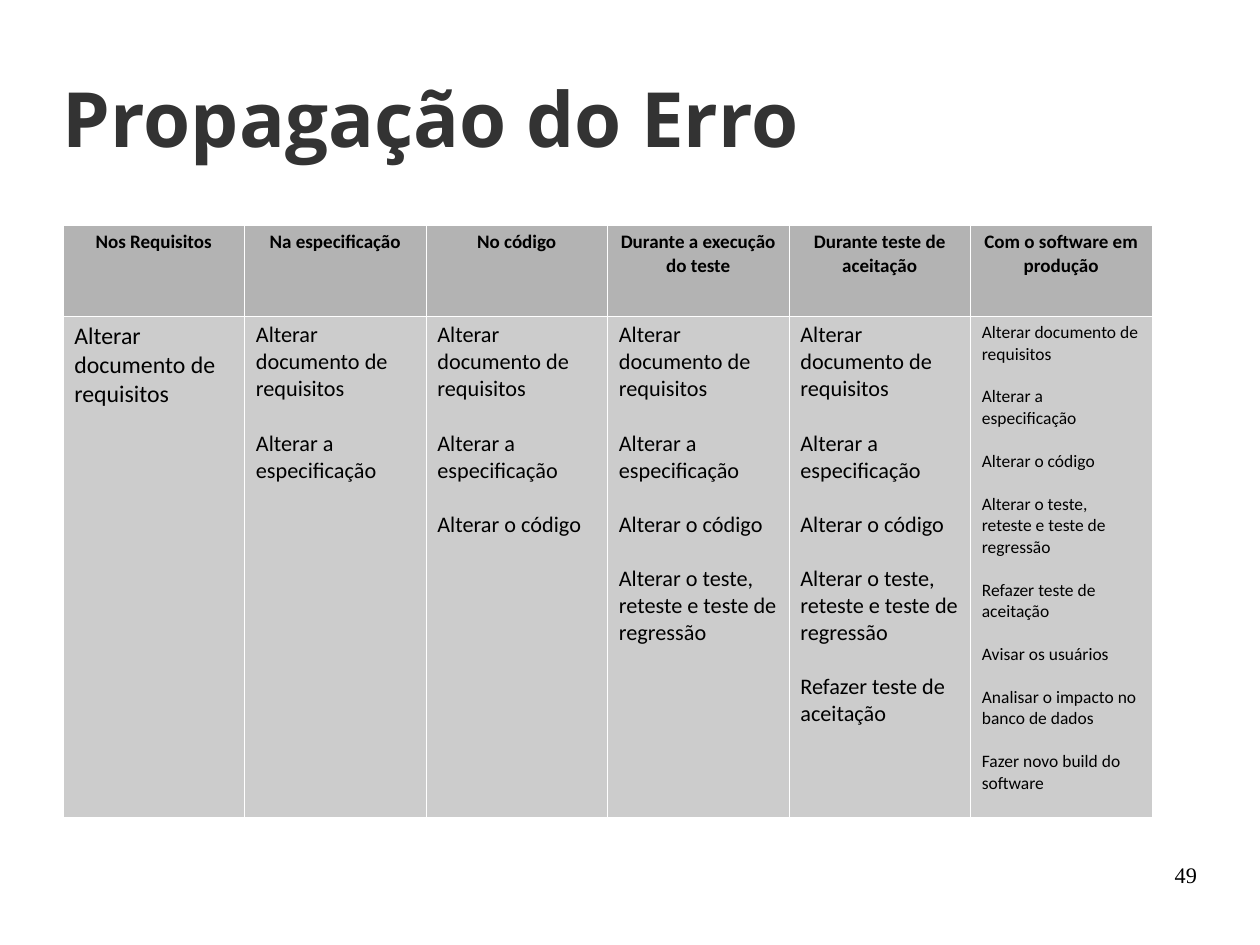
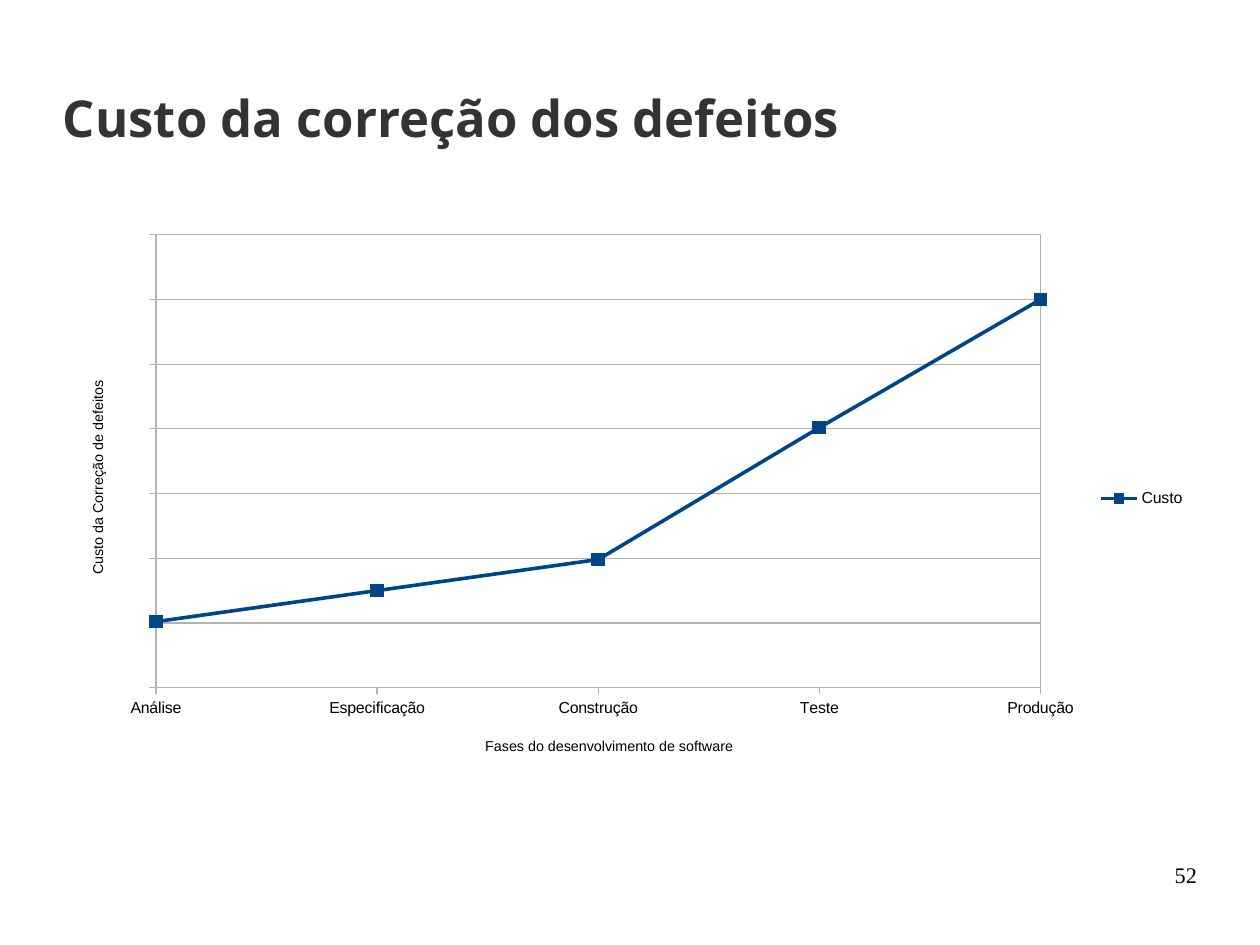
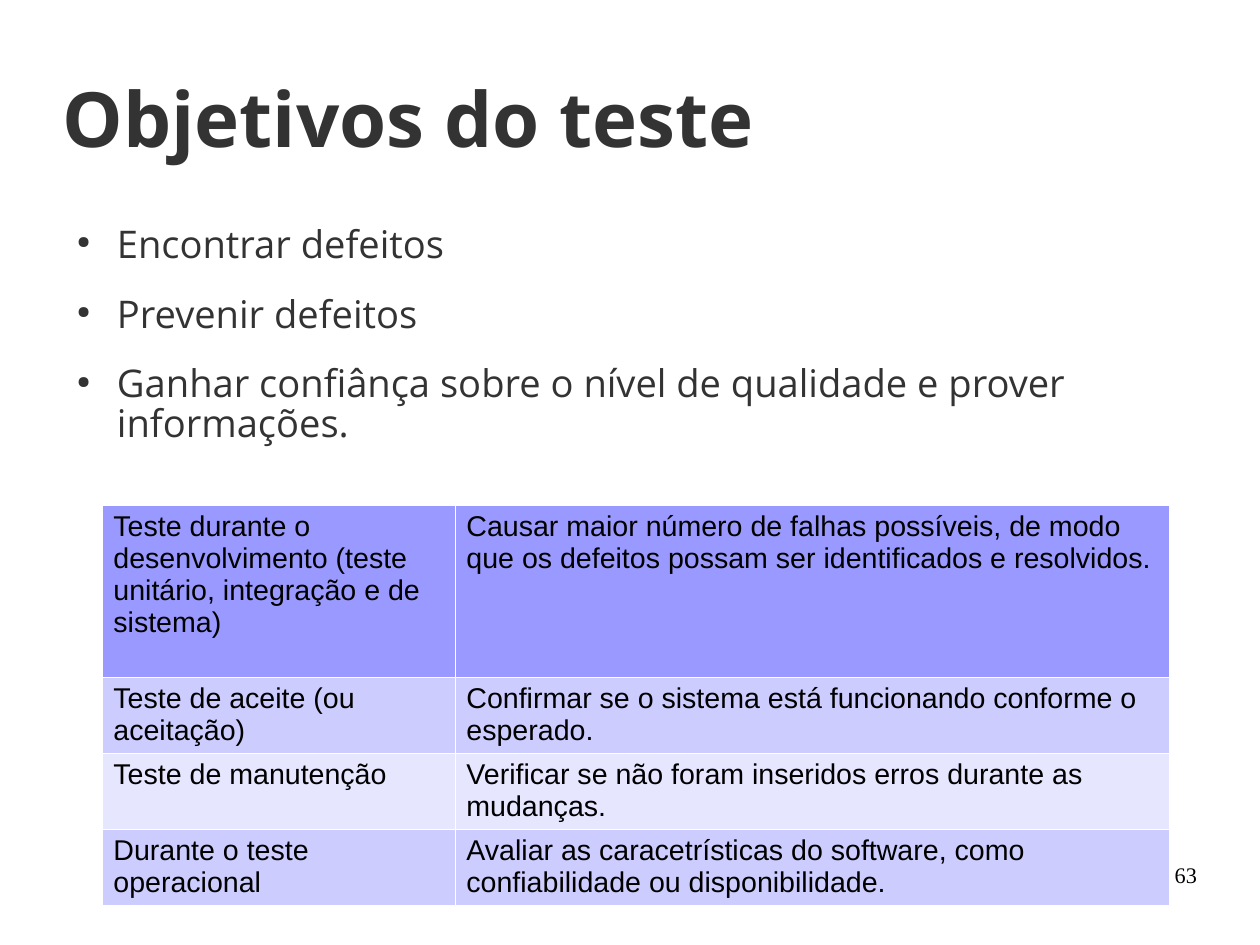
from lxml.etree import SubElement
from pptx import Presentation
from pptx.chart.data import CategoryChartData
from pptx.dml.color import RGBColor
from pptx.enum.chart import (XL_CHART_TYPE, XL_LEGEND_POSITION, XL_MARKER_STYLE,
                             XL_TICK_LABEL_POSITION, XL_TICK_MARK)
from pptx.enum.text import MSO_ANCHOR, MSO_AUTO_SIZE, PP_ALIGN
from pptx.oxml.ns import qn
from pptx.util import Pt

PX = 8000  # EMU in one px
HUES = {"ink": "333333", "black": "000000", "white": "FFFFFF", "rule": "B3B3B3",
        "head": "B3B3B3", "gray": "CCCCCC", "navy": "004586",
        "deep": "9999FF", "mid": "CCCCFF", "pale": "E6E6FF"}

# Content
STEPS = ["Alterar documento de requisitos", "Alterar a especificação",
         "Alterar o código", "Alterar o teste, reteste e teste de regressão",
         "Refazer teste de aceitação", "Avisar os usuários",
         "Analisar o impacto no banco de dados", "Fazer novo build do software"]
# Phase, number of steps to redo, text size
PHASES = [("Nos Requisitos", 1, 15), ("Na especificação", 2, 14),
          ("No código", 3, 14), ("Durante a execução do teste", 4, 14),
          ("Durante teste de aceitação", 5, 14),
          ("Com o software em produção", 8, 11)]
COSTS = {"Análise": 17, "Especificação": 25, "Construção": 33,
         "Teste": 67, "Produção": 100}
GOALS = ["Encontrar defeitos", "Prevenir defeitos",
         "Ganhar confiânça sobre o nível de qualidade e prover informações."]
TESTS = [
    ("Teste durante o desenvolvimento (teste unitário, integração e de sistema)",
     "Causar maior número de falhas possíveis, de modo que os defeitos possam "
     "ser identificados e resolvidos.", "deep"),
    ("Teste de aceite (ou aceitação)",
     "Confirmar se o sistema está funcionando conforme o esperado.", "mid"),
    ("Teste de manutenção",
     "Verificar se não foram inseridos erros durante as mudanças.", "pale"),
    ("Durante o teste operacional",
     "Avaliar as caracetrísticas do software, como confiabilidade ou "
     "disponibilidade.", "mid"),
]

# Shared formats
TITLE = {"name": "Open Sans", "bold": True, "hue": "ink"}
BODY = {"name": "Open Sans", "size": 24, "hue": "ink"}
PAGE = {"name": "Times New Roman", "size": 14, "hue": "black"}
HEAD = {"name": "Calibri", "size": 12, "bold": True, "hue": "black"}
CELL = {"name": "Calibri", "bold": False, "hue": "black"}
TEST = {"name": "Arial", "size": 18, "bold": False, "hue": "black"}
LABEL = {"name": "Arial", "size": 10, "bold": False, "hue": "black"}
FRAME = {"margin_left": 0, "margin_right": 0, "margin_top": 0,
         "margin_bottom": 0, "word_wrap": True, "auto_size": MSO_AUTO_SIZE.NONE}


def rgb(hue):
    return RGBColor.from_string(HUES[hue])


def box(*sides):
    return [int(side * PX) for side in sides]


def style(font, form):
    for key, val in form.items():
        if key == "hue":
            font.color.rgb = rgb(val)
        else:
            setattr(font, key, Pt(val) if key == "size" else val)


def fit(frame, anchor):
    for key, val in FRAME.items():
        setattr(frame, key, val)
    frame.vertical_anchor = anchor


def write(frame, lines, form, align=PP_ALIGN.LEFT, gap=0):
    for n, line in enumerate(lines):
        para = frame.add_paragraph() if n else frame.paragraphs[0]
        para.alignment = align
        if n and gap:
            para.space_before = Pt(gap)
        run = para.add_run()
        run.text = line
        style(run.font, form)


def start(deck, text, size, page):
    """Add a slide with its title and page number."""
    slide = deck.slides.add_slide(deck.slide_layouts[5])
    title = slide.shapes.title
    title.left, title.top, title.width, title.height = box(63, 65, 900, 104)
    fit(title.text_frame, MSO_ANCHOR.MIDDLE)
    write(title.text_frame, [text], {**TITLE, "size": size})
    foot = slide.shapes.add_textbox(*box(903, 861, 294, 65)).text_frame
    fit(foot, MSO_ANCHOR.TOP)
    write(foot, [str(page)], PAGE, PP_ALIGN.RIGHT)
    return slide


def grid(slide, left, top, cols, rows):
    """Add a table of the given column widths and row heights."""
    table = slide.shapes.add_table(
        len(rows), len(cols), *box(left, top, sum(cols), sum(rows))).table
    for col, wide in zip(table.columns, cols):
        col.width = int(wide * PX)
    for row, high in zip(table.rows, rows):
        row.height = int(high * PX)
    return table


def paint(cell, hue):
    props = cell._tc.get_or_add_tcPr()
    for side in ("a:lnL", "a:lnR", "a:lnT", "a:lnB"):
        edge = SubElement(props, qn(side), w="762")
        SubElement(SubElement(edge, qn("a:solidFill")), qn("a:srgbClr"),
                   val=HUES["white"])
    cell.fill.solid()
    cell.fill.fore_color.rgb = rgb(hue)


def place(part, spot, inner=False, **sides):
    """Fix a chart part by shares of the chart area."""
    for old in part.findall(qn("c:layout")):
        part.remove(old)
    lay = SubElement(part, qn("c:layout"))
    part.insert(spot, lay)
    man = SubElement(lay, qn("c:manualLayout"))
    if inner:
        SubElement(man, qn("c:layoutTarget"), val="inner")
    for key in ("x", "y"):
        SubElement(man, qn(f"c:{key}Mode"), val="edge")
    for key, val in sides.items():
        SubElement(man, qn(f"c:{key}"), val=str(val))


def stroke(line, hue, width):
    line.color.rgb = rgb(hue)
    line.width = Pt(width)


def name_axis(axis, text, x, y):
    stroke(axis.format.line, "rule", 0)
    axis.major_tick_mark = XL_TICK_MARK.OUTSIDE
    axis.minor_tick_mark = XL_TICK_MARK.NONE
    write(axis.axis_title.text_frame, [text], {**LABEL, "size": 9},
          PP_ALIGN.CENTER)
    place(axis.axis_title._element, 1, x=x, y=y)


def spread(deck):
    slide = start(deck, "Propagação do Erro", 48, 49)
    table = grid(slide, 63, 225, [181.5] * len(PHASES), [91, 501])
    for n, (phase, count, size) in enumerate(PHASES):
        top, low = table.cell(0, n), table.cell(1, n)
        paint(top, "head")
        paint(low, "gray")
        write(top.text_frame, [phase], HEAD, PP_ALIGN.CENTER)
        write(low.text_frame, STEPS[:count], {**CELL, "size": size},
              gap=round(size * 1.22, 1))


def costs(deck):
    slide = start(deck, "Custo da correção dos defeitos", 32, 52)
    data = CategoryChartData()
    data.categories = list(COSTS)
    data.add_series("Custo", list(COSTS.values()))
    chart = slide.shapes.add_chart(XL_CHART_TYPE.LINE_MARKERS,
                                   *box(63, 225, 1134, 547), data).chart
    chart.has_title = False
    style(chart.font, LABEL)
    chart.has_legend = True
    chart.legend.position = XL_LEGEND_POSITION.RIGHT
    chart.legend.include_in_layout = False
    style(chart.legend.font, LABEL)

    # Axes
    name_axis(chart.category_axis, "Fases do desenvolvimento de software",
              0.37, 0.93)
    axis = chart.value_axis
    name_axis(axis, "Custo da Correção de defeitos", 0.02, 0.28)
    axis.tick_label_position = XL_TICK_LABEL_POSITION.NONE
    axis.minimum_scale, axis.maximum_scale, axis.major_unit = 0, 116.69, 16.67
    axis.has_major_gridlines = True
    stroke(axis.major_gridlines.format.line, "rule", 0)
    node = axis._element
    for old in node.findall(qn("c:crossBetween")):
        node.remove(old)
    cross = SubElement(node, qn("c:crossBetween"), val="midCat")
    node.find(qn("c:crosses")).addnext(cross)

    # Plot area and its frame
    area = chart._chartSpace.chart.plotArea
    place(area, 0, True, x=0.082, y=0.018, w=0.78, h=0.828)
    edge = SubElement(SubElement(area, qn("c:spPr")), qn("a:ln"), w="0")
    SubElement(SubElement(edge, qn("a:solidFill")), qn("a:srgbClr"),
               val=HUES["rule"])

    # Cost line
    chart.plots[0].vary_by_categories = False
    line = chart.plots[0].series[0]
    line.smooth = False
    stroke(line.format.line, "navy", 2.27)
    mark = line.marker
    mark.style, mark.size = XL_MARKER_STYLE.SQUARE, 8
    mark.format.fill.solid()
    mark.format.fill.fore_color.rgb = rgb("navy")
    mark.format.line.color.rgb = rgb("navy")


def goals(deck):
    slide = start(deck, "Objetivos do teste", 48, 63)
    frame = slide.shapes.add_textbox(*box(63, 227, 1134, 260)).text_frame
    fit(frame, MSO_ANCHOR.TOP)
    write(frame, GOALS, BODY)
    for para in frame.paragraphs:
        para.line_spacing, para.space_after = 0.87, Pt(18.8)
        props = para._p.get_or_add_pPr()
        props.set("marL", str(54 * PX))
        props.set("indent", str(-40 * PX))
        SubElement(SubElement(props, qn("a:buClr")), qn("a:srgbClr"),
                   val=HUES["ink"])
        SubElement(props, qn("a:buSzPct"), val="45000")
        SubElement(props, qn("a:buChar"), char="●")

    # Goal of each kind of test
    table = grid(slide, 102, 505, [353, 714], [172, 76, 76, 76])
    for r, (kind, goal, hue) in enumerate(TESTS):
        for c, text in enumerate((kind, goal)):
            paint(table.cell(r, c), hue)
            write(table.cell(r, c).text_frame, [text], TEST)


def main():
    deck = Presentation()
    deck.slide_width, deck.slide_height = box(1260, 945)
    for build in (spread, costs, goals):
        build(deck)
    deck.save("out.pptx")


if __name__ == "__main__":
    main()
